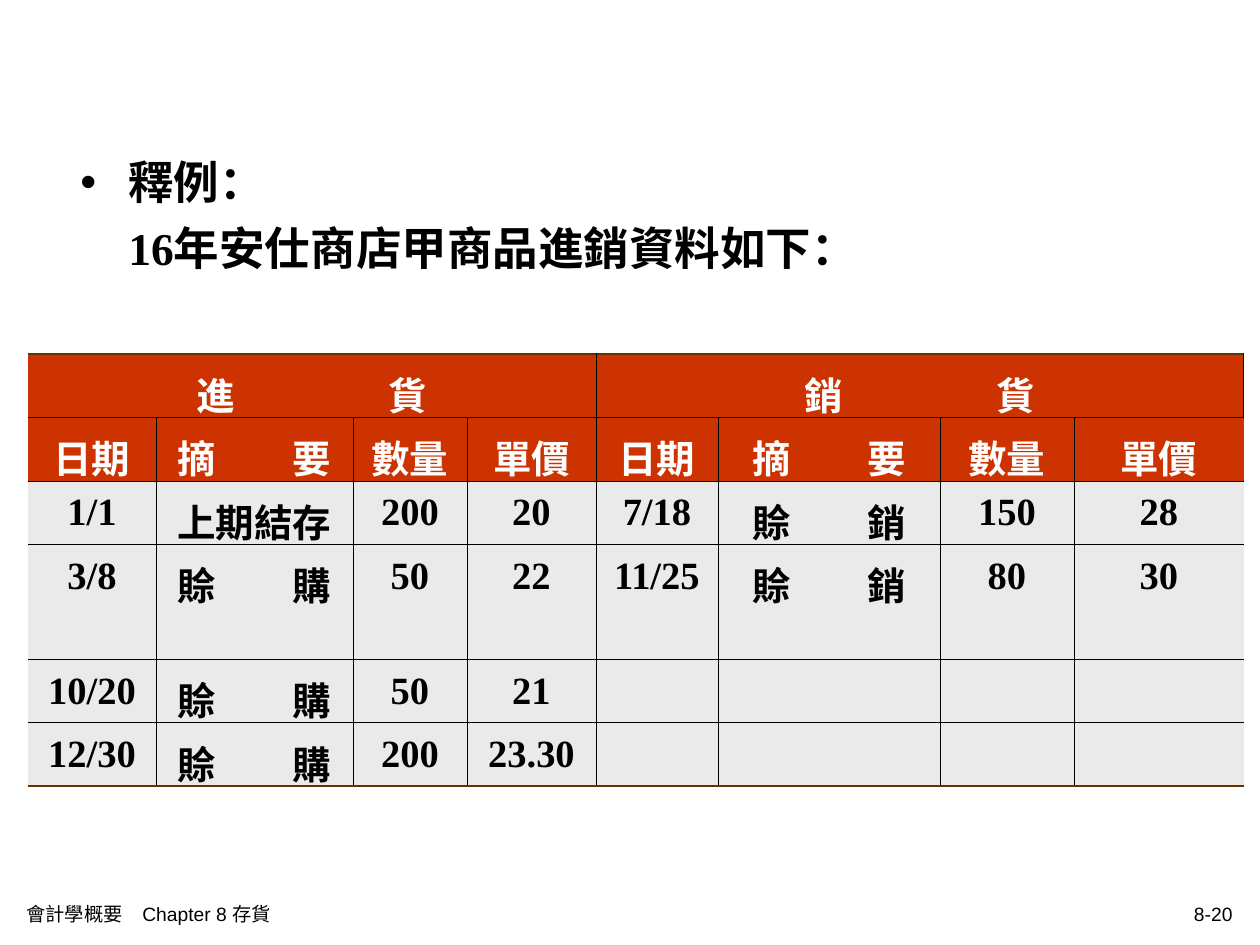
import pptx
import pptx.util
import pptx.dml.color
import pptx.enum.text
import pptx.oxml.ns
from lxml import etree

SCALE = 914400 / 126
HEX = {"black": "000000", "white": "FFFFFF", "red": "CC3300",
       "gray": "EAEAEA", "brown": "663300"}
ALIGN = pptx.enum.text.PP_ALIGN
MIDDLE = pptx.enum.text.MSO_ANCHOR.MIDDLE

HEAD = ["日期", "摘　　要", "數量", "單價"]
ROWS = [
    ["進　　　　貨", "", "", "", "銷　　　　貨", "", "", ""],
    HEAD * 2,
    ["1/1", "上期結存", "200", "20", "7/18", "賒　　銷", "150", "28"],
    ["3/8", "賒　　購", "50", "22", "11/25", "賒　　銷", "80", "30"],
    ["10/20", "賒　　購", "50", "21", "", "", "", ""],
    ["12/30", "賒　　購", "200", "23.30", "", "", "", ""],
]
WIDTHS = [128, 197, 114, 129, 122, 222, 134, 170]
HEIGHTS = [63, 63, 63, 115, 63, 63]


def px(n):
    return pptx.util.Emu(round(n * SCALE))


def add(parent, tag, **attrs):
    return etree.SubElement(parent, pptx.oxml.ns.qn(tag), attrs)


class Deck:
    def __init__(self):
        self.prs = pptx.Presentation()
        self.prs.slide_width, self.prs.slide_height = px(1260), px(945)
        self.slide = self.prs.slides.add_slide(self.prs.slide_layouts[6])
        self.body = {"size": pptx.util.Pt(26), "name": "Times New Roman", "bold": True}
        self.cell = {**self.body, "size": pptx.util.Pt(22)}
        self.foot = {"size": pptx.util.Pt(11), "name": "Arial", "bold": False}

    def text(self, para, words, font, color="black", **form):
        """Put words into a paragraph with font and paragraph formats."""
        run = para.add_run()
        run.text = words
        for key, val in font.items():
            setattr(run.font, key, val)
        run.font.color.rgb = pptx.dml.color.RGBColor.from_string(HEX[color])
        for key, val in form.items():
            setattr(para, key, val)

    def frame(self, x, y, w, h):
        box = self.slide.shapes.add_textbox(px(x), px(y), px(w), px(h))
        box.text_frame.word_wrap = True
        return box.text_frame

    def bullet(self, x, y, w, h, lines):
        """Add a bulleted first line; later lines align with its text."""
        frame = self.frame(x, y, w, h)
        for i, line in enumerate(lines):
            para = frame.add_paragraph() if i else frame.paragraphs[0]
            props = para._p.get_or_add_pPr()
            props.set("marL", str(px(48)))
            props.set("indent", str(px(0 if i else -48)))
            if not i:
                tint = add(props, "a:buClr")
                add(tint, "a:srgbClr", val=HEX["black"])
                add(props, "a:buFont", typeface="Arial")
                add(props, "a:buChar", char="•")
            self.text(para, line, self.body, line_spacing=1.2)

    def label(self, x, y, w, h, words, align):
        frame = self.frame(x, y, w, h)
        frame.vertical_anchor = MIDDLE
        self.text(frame.paragraphs[0], words, self.foot, alignment=align)

    def edge(self, props, side, color, points):
        """Draw one cell border, or none when points is 0."""
        line = add(props, f"a:ln{side}", w=str(pptx.util.Pt(points)))
        if points:
            fill = add(line, "a:solidFill")
            add(fill, "a:srgbClr", val=HEX[color])
        else:
            add(line, "a:noFill")

    def table(self, x, y, rows, widths, heights):
        count, last = len(rows), len(widths) - 1
        grid = self.slide.shapes.add_table(
            count, len(widths), px(x), px(y), px(sum(widths)), px(sum(heights))).table
        for col, width in zip(grid.columns, widths):
            col.width = px(width)
        for row, height in zip(grid.rows, heights):
            row.height = px(height)
        for first in (0, 4):
            grid.cell(0, first).merge(grid.cell(0, first + 3))
        thin, thick, none = ("black", 0.45), ("brown", 1.08), ("black", 0)
        for r, row in enumerate(rows):
            back, ink = ("red", "white") if r < 2 else ("gray", "black")
            for c, words in enumerate(row):
                cell = grid.cell(r, c)
                props = cell._tc.get_or_add_tcPr()
                self.edge(props, "L", *(thin if c else none))
                self.edge(props, "R", *(thin if c < last else none))
                self.edge(props, "T", *(thin if r else thick))
                self.edge(props, "B", *(thin if r < count - 1 else thick))
                cell.fill.solid()
                cell.fill.fore_color.rgb = pptx.dml.color.RGBColor.from_string(HEX[back])
                if words:
                    self.text(cell.text_frame.paragraphs[0], words, self.cell, ink,
                              alignment=ALIGN.CENTER, line_spacing=1.1,
                              space_before=pptx.util.Pt(5.5))


def main():
    deck = Deck()
    deck.bullet(68, 137, 1134, 174, ["釋例：", "16年安仕商店甲商品進銷資料如下："])
    deck.table(28, 354, ROWS, WIDTHS, HEIGHTS)
    deck.label(14, 893, 643, 42, "會計學概要　Chapter 8 存貨", ALIGN.LEFT)
    deck.label(854, 893, 391, 42, "8-20", ALIGN.RIGHT)
    deck.prs.save("out.pptx")


if __name__ == "__main__":
    main()
